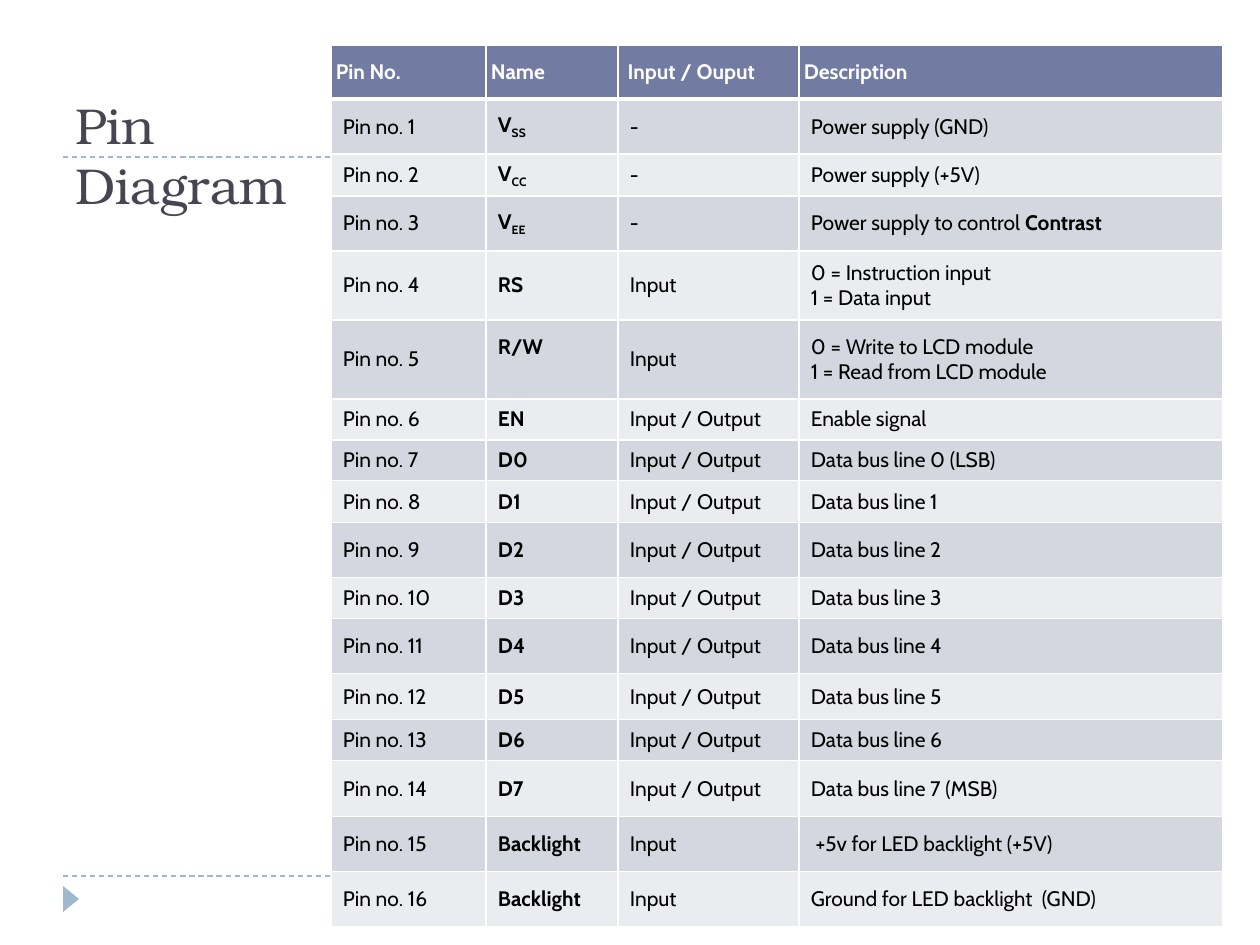
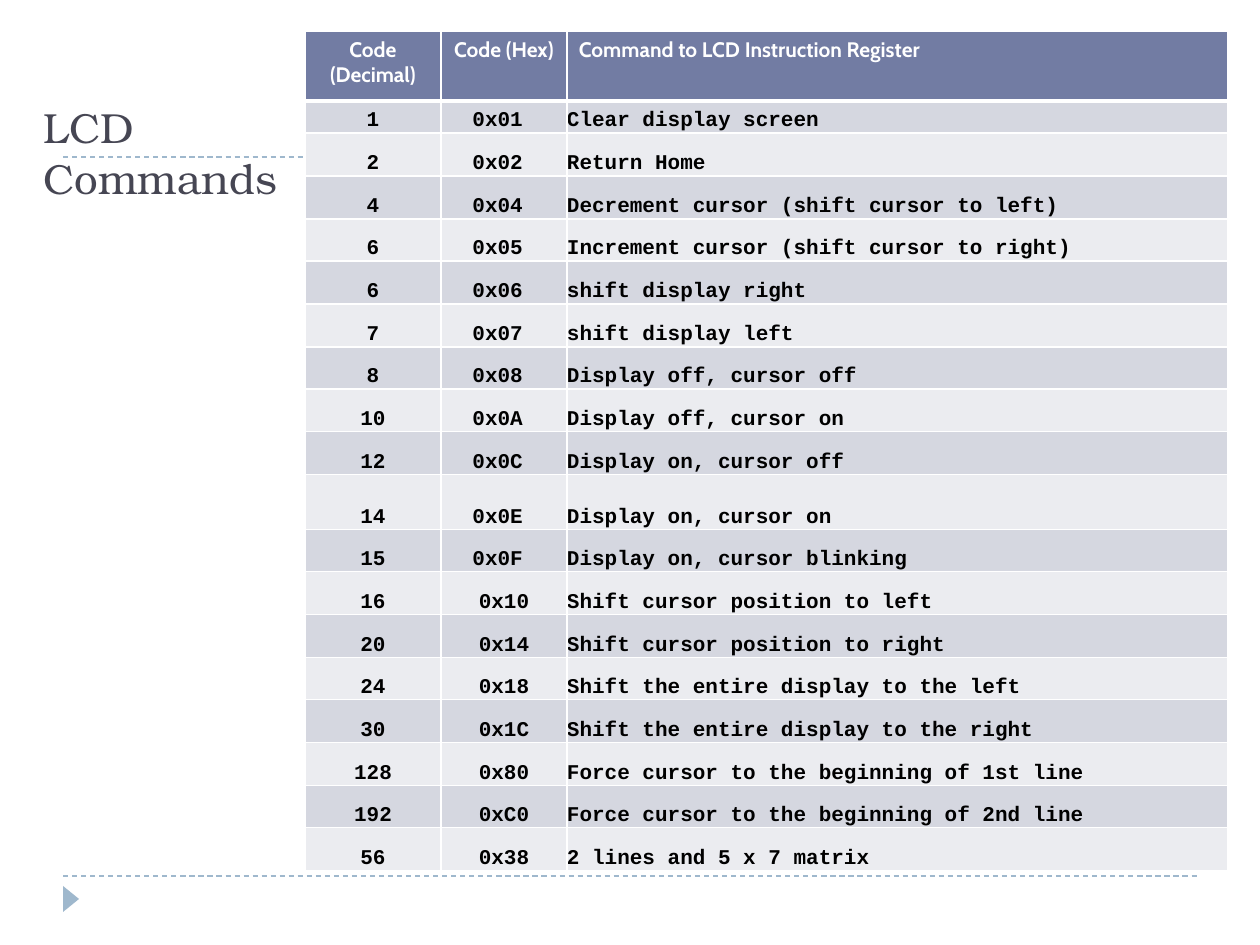
from copy import deepcopy
from dataclasses import dataclass
from itertools import cycle, islice
from typing import Any, NamedTuple

from lxml.etree import SubElement
from pptx import Presentation
from pptx.dml.color import RGBColor
from pptx.enum.dml import MSO_LINE_DASH_STYLE as Dash
from pptx.enum.shapes import MSO_CONNECTOR as Connector, MSO_SHAPE as Shape
from pptx.enum.text import MSO_ANCHOR as Anchor, MSO_AUTO_SIZE as AutoSize, PP_ALIGN as Align
from pptx.oxml.ns import qn
from pptx.util import Emu, Pt

PX_PER_INCH = 126
EMU_PER_PX = 914400 / PX_PER_INCH
TITLE_ONLY = 5

WHITE = "FFFFFF"
BLACK = "000000"
INK = "464653"
ACCENT = "9FB8CD"
HEADER = "727CA3"
BANDS = ("D5D7E0", "EBECF0")
TITLE_FONT = "TeX Gyre Bonum"
BODY_FONT = "Cabin"
CODE_FONT = "Courier New"
CELL_SIZE = 12
THIN, THICK = 1, 3


class Box(NamedTuple):
    left: int
    top: int
    width: int
    height: int


class Span(NamedTuple):
    text: str
    bold: bool = False
    subscript: bool = False


class Pin(NamedTuple):
    height: int
    name: str
    direction: str
    description: str
    subscript: str = ""
    emphasis: str = ""


Cell = tuple[Span, ...]


@dataclass(frozen=True)
class TextStyle:
    font: str
    size: float
    color: str


@dataclass(frozen=True)
class CellStyle:
    text: TextStyle
    anchor: Anchor
    margins: tuple[int, int]
    aligns: tuple[Align, ...]


@dataclass(frozen=True)
class Grid:
    left: int
    top: int
    columns: tuple[int, ...]
    heights: list[int]
    rows: list[list[Cell]]
    header: CellStyle
    body: CellStyle


@dataclass(frozen=True)
class Page:
    title: str
    title_size: float
    title_box: Box
    grid: Grid


def px(length: int) -> Emu:
    return Emu(round(length * EMU_PER_PX))


def color(code: str) -> RGBColor:
    return RGBColor.from_string(code)


def assign(target: Any, values: dict[str, Any]) -> None:
    for name, value in values.items():
        setattr(target, name, value)


def write_spans(para: Any, spans: Cell, style: TextStyle) -> None:
    for span in spans:
        for index, line in enumerate(span.text.split("\n")):
            if index:
                para.add_line_break()
                para._p[-1].append(deepcopy(run.font._element))
            if not line:
                continue
            run = para.add_run()
            run.text = line
            assign(run.font, {"name": style.font, "size": Pt(style.size), "bold": span.bold})
            run.font.color.rgb = color(style.color)
            if span.subscript:
                run.font._element.set("baseline", "-25000")
    SubElement(para._p, qn("a:endParaRPr"), sz=str(round(style.size * 100)))


def draw_rule(slide: Any, y: int) -> None:
    rule = slide.shapes.add_connector(Connector.STRAIGHT, px(63), px(y), px(1197), px(y))
    rule.line.color.rgb = color(ACCENT)
    assign(rule.line, {"width": Pt(0.75), "dash_style": Dash.DASH})
    SubElement(rule._element.spPr, qn("a:effectLst"))


def draw_frame(slide: Any) -> None:
    for y in (876, 157):
        draw_rule(slide, y)
    marker = slide.shapes.add_shape(Shape.ISOSCELES_TRIANGLE, *map(px, Box(58, 891, 26, 16)))
    marker.rotation = 90
    marker.shadow.inherit = False
    marker.fill.solid()
    marker.fill.fore_color.rgb = color(ACCENT)
    marker.line.fill.background()


def draw_title(slide: Any, page: Page) -> None:
    title = slide.shapes.title
    assign(title, dict(zip(Box._fields, map(px, page.title_box))))
    assign(title.text_frame, {
        "word_wrap": True,
        "auto_size": AutoSize.NONE,
        "vertical_anchor": Anchor.BOTTOM,
    })
    para = title.text_frame.paragraphs[0]
    para.alignment = Align.LEFT
    write_spans(para, (Span(page.title),), TextStyle(TITLE_FONT, page.title_size, INK))


def draw_border(cell: Any, side: str, points: int) -> None:
    properties = cell._tc.get_or_add_tcPr()
    line = SubElement(properties, qn(f"a:ln{side}"), w=str(Pt(points)))
    fill = SubElement(line, qn("a:solidFill"))
    SubElement(fill, qn("a:srgbClr"), val=WHITE)


def draw_cell(cell: Any, spans: Cell, style: CellStyle, row: int, column: int) -> None:
    across, down = map(px, style.margins)
    assign(cell, {
        "margin_left": across,
        "margin_right": across,
        "margin_top": down,
        "margin_bottom": down,
        "vertical_anchor": style.anchor,
    })
    borders = {"L": THIN, "R": THIN, "T": THICK if row == 1 else THIN, "B": THIN if row else THICK}
    for side, points in borders.items():
        draw_border(cell, side, points)
    cell.fill.solid()
    cell.fill.fore_color.rgb = color(BANDS[(row - 1) % 2] if row else HEADER)
    para = cell.text_frame.paragraphs[0]
    para.alignment = style.aligns[column]
    write_spans(para, spans, style.text)


def draw_grid(slide: Any, grid: Grid) -> None:
    box = Box(grid.left, grid.top, sum(grid.columns), sum(grid.heights))
    table = slide.shapes.add_table(len(grid.rows), len(grid.columns), *map(px, box)).table
    assign(table, {"first_row": False, "horz_banding": False})
    for column, width in zip(table.columns, grid.columns):
        column.width = px(width)
    for row, height in zip(table.rows, grid.heights):
        row.height = px(height)
    for row, cells in enumerate(grid.rows):
        for column, spans in enumerate(cells):
            style = grid.body if row else grid.header
            draw_cell(table.cell(row, column), spans, style, row, column)


def bold_row(*texts: str) -> list[Cell]:
    return [(Span(text, bold=True),) for text in texts]


def pin_row(number: int, pin: Pin) -> list[Cell]:
    name = (Span(pin.name, True), Span(pin.subscript, True, True))
    description = (Span(pin.description), Span(pin.emphasis, True))
    return [(Span(f"Pin no. {number}"),), name, (Span(pin.direction),), description]


DATA_HEIGHTS = (41, 42, 55, 41, 55, 46, 41, 56)
DATA_NOTES = {0: " (LSB)", 7: " (MSB)"}
PINS = [
    Pin(55, "V", "-", "Power supply (GND)", "SS"),
    Pin(42, "V", "-", "Power supply (+5V)", "CC"),
    Pin(55, "V", "-", "Power supply to control ", "EE", "Contrast"),
    Pin(69, "RS", "Input", "0 = Instruction input\n1 = Data input"),
    Pin(79, "R/W\n", "Input", "0 = Write to LCD module\n1 = Read from LCD module"),
    Pin(41, "EN", "Input / Output", "Enable signal"),
    *(Pin(height, f"D{bit}", "Input / Output", f"Data bus line {bit}{DATA_NOTES.get(bit, '')}")
      for bit, height in enumerate(DATA_HEIGHTS)),
    Pin(55, "Backlight", "Input", " +5v for LED backlight (+5V)"),
    Pin(55, "Backlight", "Input", "Ground for LED backlight  (GND)"),
]

COMMANDS = [
    ("1", "0x01 ", "Clear display screen"),
    ("2", "0x02 ", "Return Home"),
    ("4", "0x04 ", "Decrement cursor (shift cursor to left)"),
    ("6", "0x05 ", "Increment cursor (shift cursor to right)"),
    ("6", "0x06 ", "shift display right"),
    ("7", "0x07 ", "shift display left"),
    ("8", "0x08 ", "Display off, cursor off"),
    ("10", "0x0A ", "Display off, cursor on"),
    ("12", "0x0C ", "Display on, cursor off"),
    ("14", "0x0E ", "Display on, cursor on"),
    ("15", "0x0F ", "Display on, cursor blinking"),
    ("16", "0x10", "Shift cursor position to left"),
    ("20", "0x14", "Shift cursor position to right"),
    ("24", "0x18", "Shift the entire display to the left"),
    ("30", "0x1C", "Shift the entire display to the right"),
    ("128", "0x80", "Force cursor to the beginning of 1st line"),
    ("192", "0xC0", "Force cursor to the beginning of 2nd line"),
    ("56", "0x38", "2 lines and 5 x 7 matrix"),
]
COMMAND_HEIGHTS = list(islice(cycle((43, 43, 42)), len(COMMANDS) - 2))
COMMAND_HEIGHTS.insert(8, 55)

HEADER_TEXT = TextStyle(BODY_FONT, CELL_SIZE, WHITE)
PIN_TEXT = TextStyle(BODY_FONT, CELL_SIZE, BLACK)
COMMAND_TEXT = TextStyle(CODE_FONT, CELL_SIZE, BLACK)
PIN_ALIGNS = (Align.LEFT,) * 4
COMMAND_ALIGNS = (Align.CENTER, Align.CENTER, Align.LEFT)

PIN_GRID = Grid(
    left=331,
    top=45,
    columns=(155, 132, 181, 424),
    heights=[54, *(pin.height for pin in PINS)],
    rows=[
        bold_row("Pin No.", "Name", " Input / Ouput", "Description"),
        *(pin_row(number, pin) for number, pin in enumerate(PINS, 1)),
    ],
    header=CellStyle(HEADER_TEXT, Anchor.MIDDLE, (5, 5), PIN_ALIGNS),
    body=CellStyle(PIN_TEXT, Anchor.MIDDLE, (12, 6), PIN_ALIGNS),
)
COMMAND_GRID = Grid(
    left=305,
    top=31,
    columns=(136, 126, 661),
    heights=[70, 32, *COMMAND_HEIGHTS],
    rows=[
        bold_row("Code (Decimal)", "Code (Hex)", "Command to LCD Instruction Register"),
        *(bold_row(*command) for command in COMMANDS),
    ],
    header=CellStyle(HEADER_TEXT, Anchor.TOP, (12, 6), COMMAND_ALIGNS),
    body=CellStyle(COMMAND_TEXT, Anchor.BOTTOM, (0, 0), COMMAND_ALIGNS),
)
PAGES = (
    Page("Pin Diagram", 28.8, Box(63, 53, 242, 168), PIN_GRID),
    Page("LCD \nCommands", 24, Box(31, 73, 262, 136), COMMAND_GRID),
)


def main() -> None:
    deck = Presentation()
    assign(deck, {"slide_width": px(1260), "slide_height": px(945)})
    for page in PAGES:
        slide = deck.slides.add_slide(deck.slide_layouts[TITLE_ONLY])
        draw_frame(slide)
        draw_title(slide, page)
        draw_grid(slide, page.grid)
    deck.save("out.pptx")


if __name__ == "__main__":
    main()
